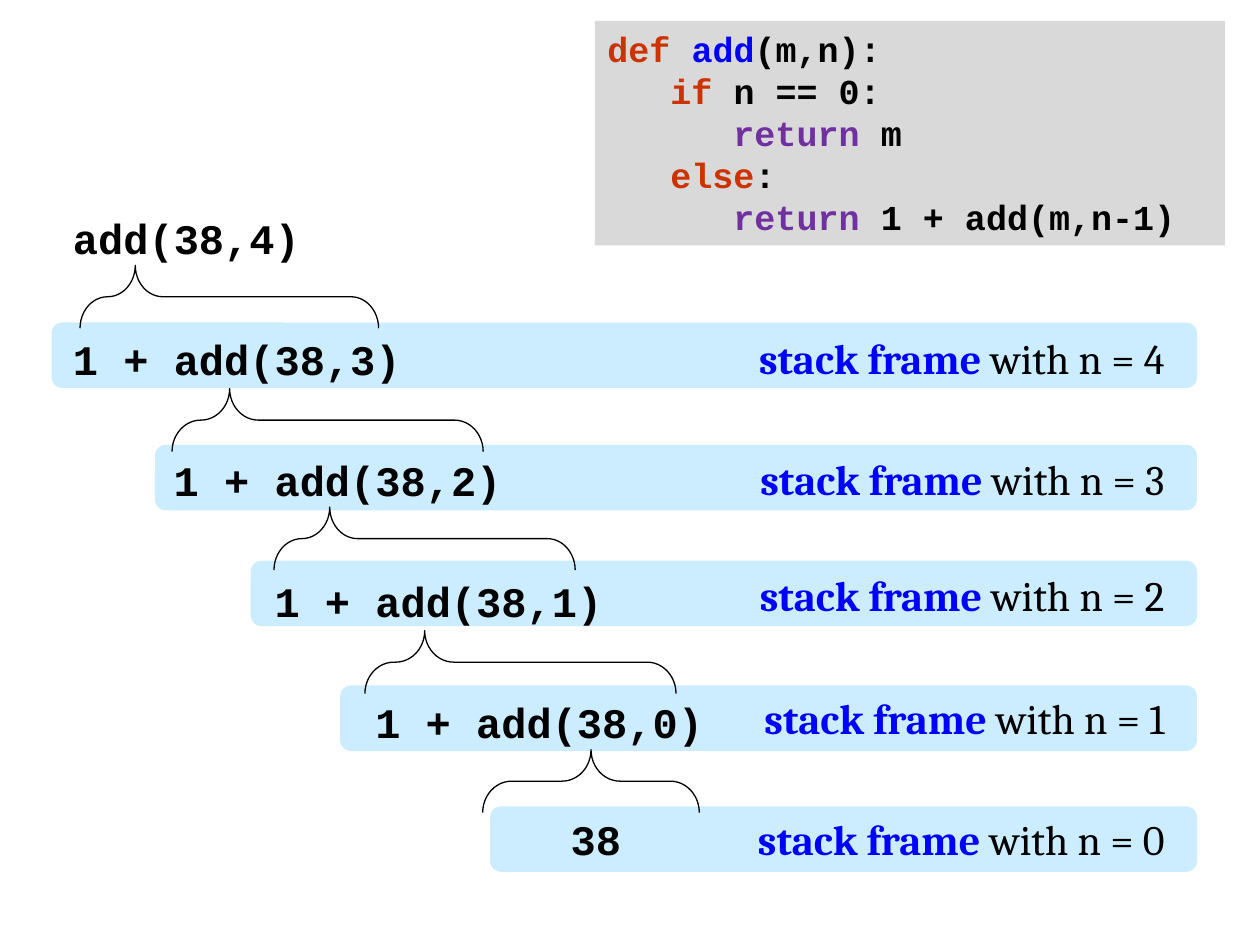
from typing import NamedTuple

from pptx import Presentation
from pptx.dml.color import RGBColor
from pptx.enum.shapes import MSO_SHAPE
from pptx.enum.text import MSO_ANCHOR, MSO_AUTO_SIZE, PP_ALIGN
from pptx.shapes.autoshape import Shape
from pptx.slide import Slide
from pptx.util import Pt

COLOURS = {
    "black": "000000",
    "blue": "0000FF",
    "red": "CC3300",
    "purple": "7030A0",
    "frame": "CCECFF",
    "code": "D9D9D9",
}
CODE_FONT = "Courier New"
LABEL_FONT = "Cambria"
FRAME_RIGHT = 684
FRAME_HEIGHT = 37.4
LABEL_RIGHT = 672.5
TEXT_HEIGHT = 36
BRACE_DEPTH = 36
CALL_LEFT = 34.6
CALL_TOP = 118.1
CALL_STEP = 69.1
CALL_INDENT = 57.6


class Run(NamedTuple):
    text: str
    colour: str = "black"
    bold: bool = True


class Brace(NamedTuple):
    centre_x: float
    centre_y: float
    length: float
    tip: float


class Frame(NamedTuple):
    n: int
    left: float
    top: float
    label_top: float
    brace: Brace


FRAMES = [
    Frame(4, 29.5, 184.3, 186.5, Brace(131, 169.6, 170.6, 0.815)),
    Frame(3, 88.6, 254.2, 255.6, Brace(187.2, 240.1, 177.8, 0.815)),
    Frame(2, 143.3, 320.4, 321.8, Brace(242.6, 307.8, 172.1, 0.815)),
    Frame(1, 194.4, 391.7, 392.4, Brace(297.4, 378.4, 177.8, 0.808)),
    Frame(0, 280.1, 460.8, 461.5, Brace(337.7, 446.4, 123.8, 0.5)),
]
CALLS = ["add(38,4)"] + [f"1 + add(38,{n})" for n in (3, 2, 1, 0)]
CODE = [
    [Run("def ", "red"), Run("add", "blue"), Run("(m,n):")],
    [Run("   if ", "red"), Run("n == 0:")],
    [Run("      return ", "purple"), Run("m")],
    [Run("   else", "red"), Run(":")],
    [Run("      return ", "purple"), Run("1 + add(m,n-1)")],
]


def colour_of(name: str) -> RGBColor:
    return RGBColor.from_string(COLOURS[name])


def write_text(shape: Shape, lines: list[list[Run]], font: str, size: float,
               alignment: PP_ALIGN = PP_ALIGN.LEFT) -> None:
    frame = shape.text_frame
    frame.word_wrap = True
    frame.auto_size = MSO_AUTO_SIZE.SHAPE_TO_FIT_TEXT
    frame.vertical_anchor = MSO_ANCHOR.TOP
    for index, line in enumerate(lines):
        paragraph = frame.add_paragraph() if index else frame.paragraphs[0]
        paragraph.alignment = alignment
        for part in line:
            run = paragraph.add_run()
            run.text = part.text
            run.font.name = font
            run.font.size = Pt(size)
            run.font.bold = part.bold
            run.font.color.rgb = colour_of(part.colour)


def add_panel(slide: Slide, kind: MSO_SHAPE, left: float, top: float,
              width: float, height: float, colour: str) -> Shape:
    shape = slide.shapes.add_shape(kind, Pt(left), Pt(top), Pt(width), Pt(height))
    shape.shadow.inherit = False
    shape.fill.solid()
    shape.fill.fore_color.rgb = colour_of(colour)
    shape.line.fill.background()
    return shape


def add_call(slide: Slide, text: str, left: float, top: float) -> None:
    shape = slide.shapes.add_textbox(Pt(left), Pt(top), Pt(222), Pt(TEXT_HEIGHT))
    write_text(shape, [[Run(text)]], CODE_FONT, 24)


def add_label(slide: Slide, frame: Frame) -> None:
    width = 286
    shape = slide.shapes.add_textbox(
        Pt(LABEL_RIGHT - width), Pt(frame.label_top), Pt(width), Pt(TEXT_HEIGHT))
    runs = [Run("stack frame ", "blue"), Run(f"with n = {frame.n}", bold=False)]
    write_text(shape, [runs], LABEL_FONT, 24, PP_ALIGN.RIGHT)


def add_brace(slide: Slide, brace: Brace) -> None:
    shape = slide.shapes.add_shape(
        MSO_SHAPE.LEFT_BRACE,
        Pt(brace.centre_x - BRACE_DEPTH / 2), Pt(brace.centre_y - brace.length / 2),
        Pt(BRACE_DEPTH), Pt(brace.length))
    shape.rotation = 90
    shape.adjustments[0] = 0.46
    shape.adjustments[1] = brace.tip
    shape.shadow.inherit = False
    shape.fill.background()
    shape.line.color.rgb = colour_of("black")
    shape.line.width = Pt(0.75)


def main() -> None:
    presentation = Presentation()
    presentation.slide_width = Pt(720)
    presentation.slide_height = Pt(540)
    slide = presentation.slides.add_slide(presentation.slide_layouts[6])

    for frame in FRAMES:
        add_panel(slide, MSO_SHAPE.ROUNDED_RECTANGLE, frame.left, frame.top,
                  FRAME_RIGHT - frame.left, FRAME_HEIGHT, "frame")
    for index, call in enumerate(CALLS):
        indent = CALL_INDENT * max(index - 1, 0)
        add_call(slide, call, CALL_LEFT + indent, CALL_TOP + CALL_STEP * index)
    add_call(slide, "38", 319, 461.5)
    for frame in FRAMES:
        add_brace(slide, frame.brace)
        add_label(slide, frame)

    listing = add_panel(slide, MSO_SHAPE.RECTANGLE, 340, 12, 360, 128.2, "code")
    write_text(listing, CODE, CODE_FONT, 20)

    presentation.save("out.pptx")


if __name__ == "__main__":
    main()
